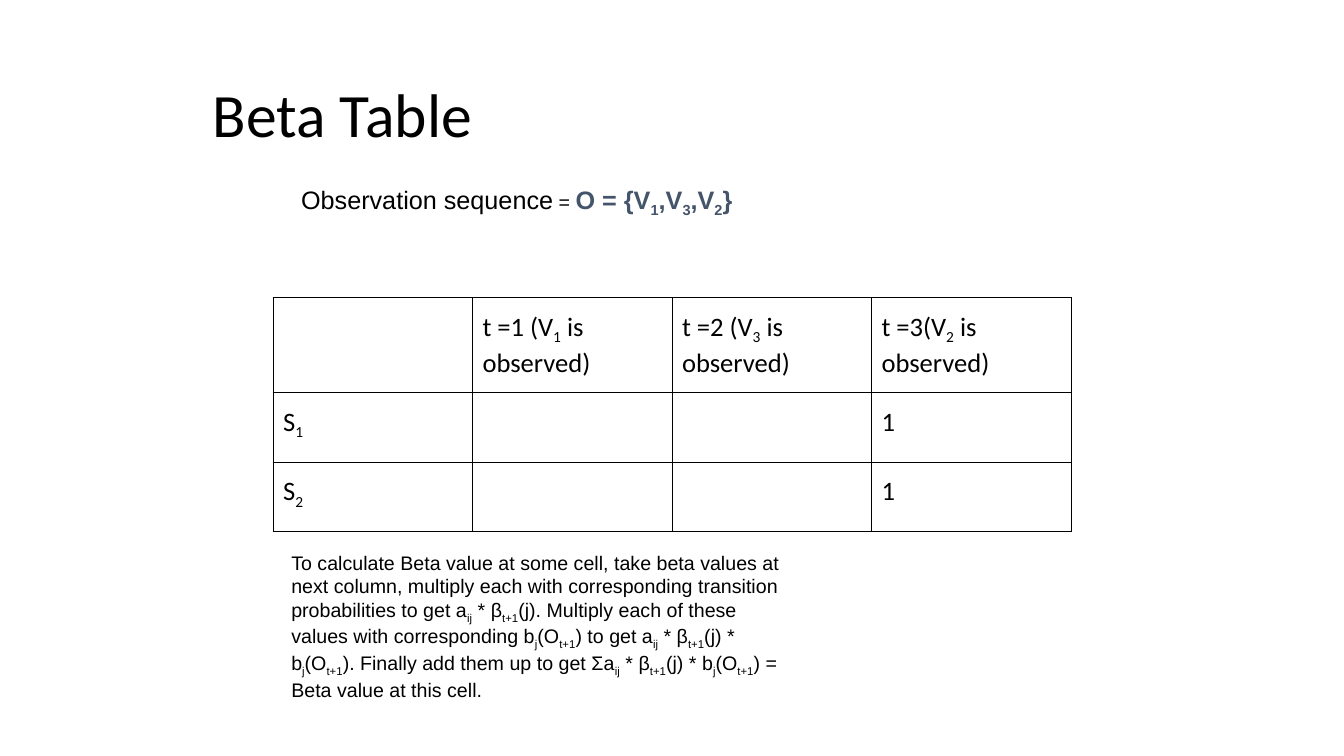
from dataclasses import dataclass

from lxml import etree
from pptx import Presentation
from pptx.dml.color import RGBColor
from pptx.enum.text import MSO_ANCHOR
from pptx.oxml.ns import qn
from pptx.util import Pt

TOP = MSO_ANCHOR.TOP
BORDERS = ("a:lnL", "a:lnR", "a:lnT", "a:lnB")


@dataclass(frozen=True)
class Theme:
    text: str = "000000"
    accent: str = "44546A"
    heading_font: str = "Calibri"
    body_font: str = "Arial"
    title: float = 44
    cell: float = 19
    sequence: float = 18
    note: float = 14
    border: float = 0.75
    inset: float = 7.2
    cell_inset: float = 9.6


THEME = Theme()

HEADERS = ["", "t =1 (V_1_ is observed)", "t =2 (V_3_ is observed)", "t =3(V_2_ is observed)"]
ROWS = [HEADERS, ["S_1_", "", "", "1"], ["S_2_", "", "", "1"]]
NOTE = (
    "To calculate Beta value at some cell, take beta values at next column, "
    "multiply each with corresponding transition probabilities to get "
    "a_ij_ * β_t+1_(j). Multiply each of these values with corresponding "
    "b_j_(O_t+1_) to get a_ij_ * β_t+1_(j) * b_j_(O_t+1_). Finally add them up "
    "to get Σa_ij_ * β_t+1_(j) * b_j_(O_t+1_) = Beta value at this cell."
)


def add_runs(p, text, font, size, color=THEME.text, bold=False):
    for i, piece in enumerate(text.split("_")):
        if not piece:
            continue
        r = p.add_run()
        r.text = piece
        r.font.name = font
        r.font.size = Pt(size)
        r.font.bold = bold
        r.font.color.rgb = RGBColor.from_string(color)
        if i % 2:
            r.font._element.set("baseline", "-25000")


def add_box(slide, x, y, w, h):
    tf = slide.shapes.add_textbox(Pt(x), Pt(y), Pt(w), Pt(h)).text_frame
    tf.word_wrap = True
    tf.vertical_anchor = TOP
    tf.margin_left = tf.margin_right = Pt(THEME.inset)
    tf.margin_top = tf.margin_bottom = Pt(THEME.inset)
    return tf.paragraphs[0]


def add_title(slide, x, y, w, h):
    p = add_box(slide, x, y, w, h)
    add_runs(p, "Beta Table", THEME.heading_font, THEME.title)


def add_sequence(slide, x, y, w, h):
    p = add_box(slide, x, y, w, h)
    add_runs(p, "Observation sequence", THEME.body_font, THEME.sequence)
    add_runs(p, " = ", THEME.body_font, THEME.note)
    add_runs(p, "O = {V_1_,V_3_,V_2_}", THEME.body_font, THEME.sequence, THEME.accent, True)


def add_note(slide, x, y, w, h):
    p = add_box(slide, x, y, w, h)
    add_runs(p, NOTE, THEME.body_font, THEME.note)


def style_cell(cell):
    cell.vertical_anchor = TOP
    cell.margin_left = cell.margin_right = Pt(THEME.inset)
    cell.margin_top = cell.margin_bottom = Pt(THEME.cell_inset)
    tcPr = cell._tc.get_or_add_tcPr()
    for tag in BORDERS:
        ln = etree.SubElement(tcPr, qn(tag), w=str(Pt(THEME.border)))
        fill = etree.SubElement(ln, qn("a:solidFill"))
        etree.SubElement(fill, qn("a:srgbClr"), val=THEME.text)
    cell.fill.background()


def add_beta_table(slide, x, y, w, h, header_h):
    n_rows, n_cols = len(ROWS), len(HEADERS)
    table = slide.shapes.add_table(n_rows, n_cols, Pt(x), Pt(y), Pt(w), Pt(h)).table
    table.first_row = table.horz_banding = False
    for col in table.columns:
        col.width = Pt(w / n_cols)
    for i, row in enumerate(table.rows):
        row.height = Pt((h - header_h) / (n_rows - 1) if i else header_h)
        for cell, text in zip(row.cells, ROWS[i]):
            style_cell(cell)
            add_runs(cell.text_frame.paragraphs[0], text, THEME.heading_font, THEME.cell)


def main():
    prs = Presentation()
    prs.slide_width, prs.slide_height = Pt(960), Pt(540)
    slide = prs.slides.add_slide(prs.slide_layouts[6])
    add_title(slide, 145, 47, 671, 60)
    add_beta_table(slide, 195, 212.5, 570, 167, 68)
    add_note(slide, 201, 386, 368, 122)
    add_sequence(slide, 208, 124.5, 542, 51)
    prs.save("out.pptx")


if __name__ == "__main__":
    main()
